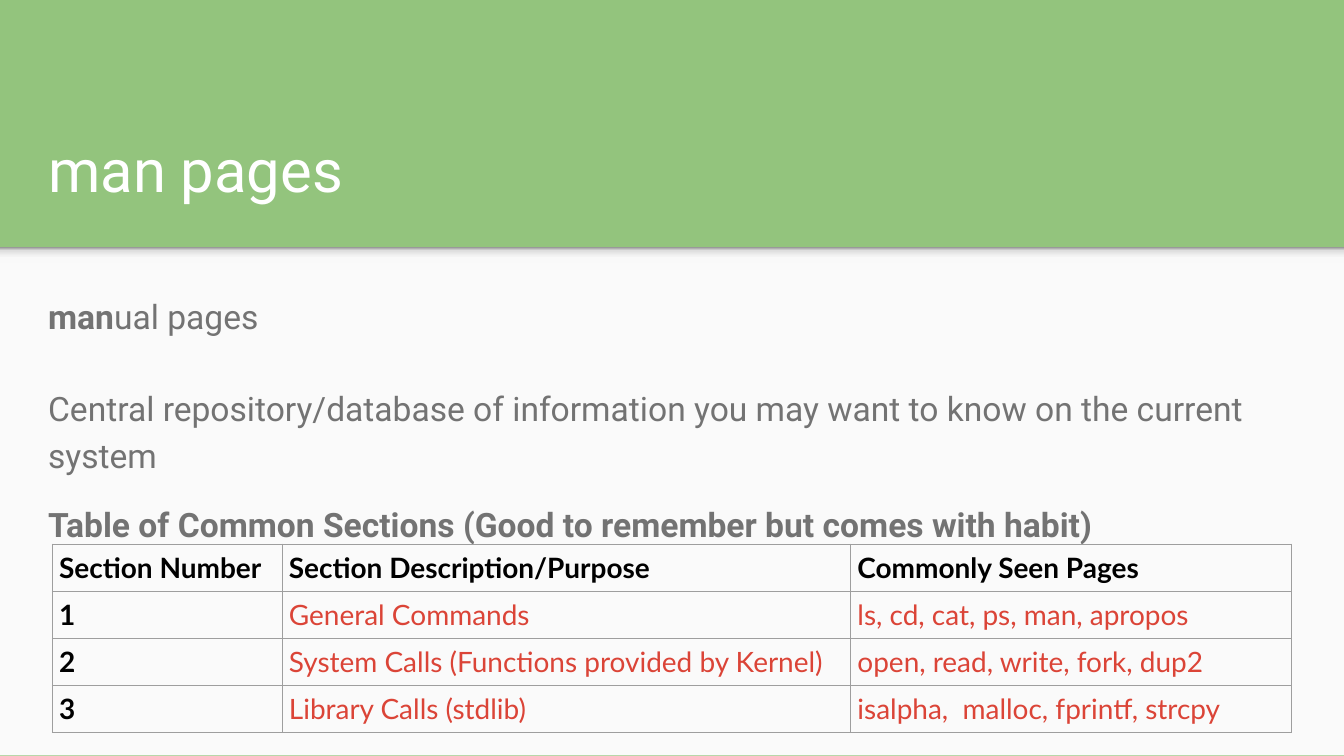
from copy import deepcopy

from lxml.etree import SubElement
from pptx import Presentation
from pptx.dml.color import RGBColor
from pptx.enum.shapes import MSO_SHAPE
from pptx.enum.text import MSO_ANCHOR
from pptx.oxml.ns import qn
from pptx.util import Inches, Pt

COLORS = {
    "green": "93C47D",
    "panel": "FAFAFA",
    "white": "FFFFFF",
    "gray": "737373",
    "black": "000000",
    "red": "DB4437",
    "border": "9E9E9E",
}
SHADOW_STOPS = [(0, "F9F9F9"), (36, "F9F9F9"), (80, "DEDEDE"), (100, "999999")]

BODY = [
    ([("man", True), ("ual pages", False)], 0),
    ([("Central repository/database of information you may want to know "
       "on the current system", False)], 24.5),
    ([("Table of Common Sections (Good to remember but comes with habit)", True)], 12.5),
]

SECTIONS = [
    ("Section Number", "Section Description/Purpose", "Commonly Seen Pages"),
    ("1", "General Commands", "ls, cd, cat, ps, man, apropos"),
    ("2", "System Calls (Functions provided by Kernel)", "open, read, write, fork, dup2"),
    ("3", "Library Calls (stdlib)", "isalpha,  malloc, fprintf, strcpy"),
]


class SlideBuilder:
    heading_font = "Roboto"
    table_font = "Lato"

    def __init__(self, page):
        self.page = page

    def color(self, name):
        return RGBColor.from_string(COLORS[name])

    def background(self, name):
        fill = self.page.background.fill
        fill.solid()
        fill.fore_color.rgb = self.color(name)

    def rectangle(self, left, top, width, height):
        shape = self.page.shapes.add_shape(
            MSO_SHAPE.RECTANGLE, Inches(left), Inches(top), Inches(width), Inches(height))
        shape.shadow.inherit = False
        shape.line.fill.background()
        return shape

    def panel(self, left, top, width, height, name):
        shape = self.rectangle(left, top, width, height)
        shape.fill.solid()
        shape.fill.fore_color.rgb = self.color(name)

    def gradient_strip(self, left, top, width, height, stops):
        fill = self.rectangle(left, top, width, height).fill
        fill.gradient()
        fill.gradient_angle = 90
        stop_list = fill._fill._gradFill.find(qn("a:gsLst"))
        template = deepcopy(stop_list[0])
        for stop in list(stop_list):
            stop_list.remove(stop)
        for _ in stops:
            stop_list.append(deepcopy(template))
        for stop, (percent, value) in zip(fill.gradient_stops, stops):
            stop.position = percent / 100
            stop.color.rgb = RGBColor.from_string(value)

    def style(self, paragraph, font, size, name, bold=None):
        paragraph.font.name = font
        paragraph.font.size = Pt(size)
        paragraph.font.color.rgb = self.color(name)
        paragraph.font.bold = bold

    def text(self, left, top, width, height, paragraphs, size, name,
             anchor=MSO_ANCHOR.TOP, line_spacing=1.0):
        box = self.page.shapes.add_textbox(
            Inches(left), Inches(top), Inches(width), Inches(height))
        frame = box.text_frame
        frame.word_wrap = True
        frame.vertical_anchor = anchor
        frame.margin_left = frame.margin_right = Inches(0.1)
        frame.margin_top = frame.margin_bottom = Inches(0.1)
        for index, (spans, gap) in enumerate(paragraphs):
            para = frame.add_paragraph() if index else frame.paragraphs[0]
            para.line_spacing = line_spacing
            para.space_before = Pt(gap)
            self.style(para, self.heading_font, size, name)
            for words, bold in spans:
                span = para.add_run()
                span.text = words
                span.font.bold = bold

    def cell_border(self, cell):
        properties = cell._tc.get_or_add_tcPr()
        for position, side in enumerate(("a:lnL", "a:lnR", "a:lnT", "a:lnB")):
            line = SubElement(properties, qn(side), w=str(Pt(0.75)))
            properties.insert(position, line)
            fill = SubElement(line, qn("a:solidFill"))
            SubElement(fill, qn("a:srgbClr"), val=COLORS["border"])

    def table(self, left, top, widths, row_height, rows):
        table = self.page.shapes.add_table(
            len(rows), len(widths), Inches(left), Inches(top),
            Inches(sum(widths)), Inches(row_height * len(rows))).table
        table.first_row = table.horz_banding = False
        for column, width in zip(table.columns, widths):
            column.width = Inches(width)
        for row_index, values in enumerate(rows):
            table.rows[row_index].height = Inches(row_height)
            for column_index, value in enumerate(values):
                cell = table.cell(row_index, column_index)
                cell.text = value
                cell.fill.background()
                cell.margin_left = cell.margin_right = Inches(0.05)
                cell.margin_top = cell.margin_bottom = Inches(0.05)
                heading = row_index == 0 or column_index == 0
                self.style(cell.text_frame.paragraphs[0], self.table_font, 15,
                           "black" if heading else "red", heading)
                self.cell_border(cell)


def main():
    deck = Presentation()
    deck.slide_width = Inches(10)
    deck.slide_height = deck.slide_width * 9 // 16
    builder = SlideBuilder(deck.slides.add_slide(deck.slide_layouts[6]))

    builder.background("green")
    builder.panel(0, 1.84, 10, 3.78, "panel")
    builder.gradient_strip(0, 1.84, 10, 0.12, SHADOW_STOPS)
    builder.text(0.26, 0.4, 9.22, 1.22, [([("man pages", False)], 0)], 32, "white",
                 anchor=MSO_ANCHOR.BOTTOM)
    builder.text(0.26, 2.06, 9.22, 3.3, BODY, 18, "gray", line_spacing=1.15)
    builder.table(0.39, 4.05, (1.71, 4.23, 3.28), 0.35, SECTIONS)

    deck.save("out.pptx")


if __name__ == "__main__":
    main()
